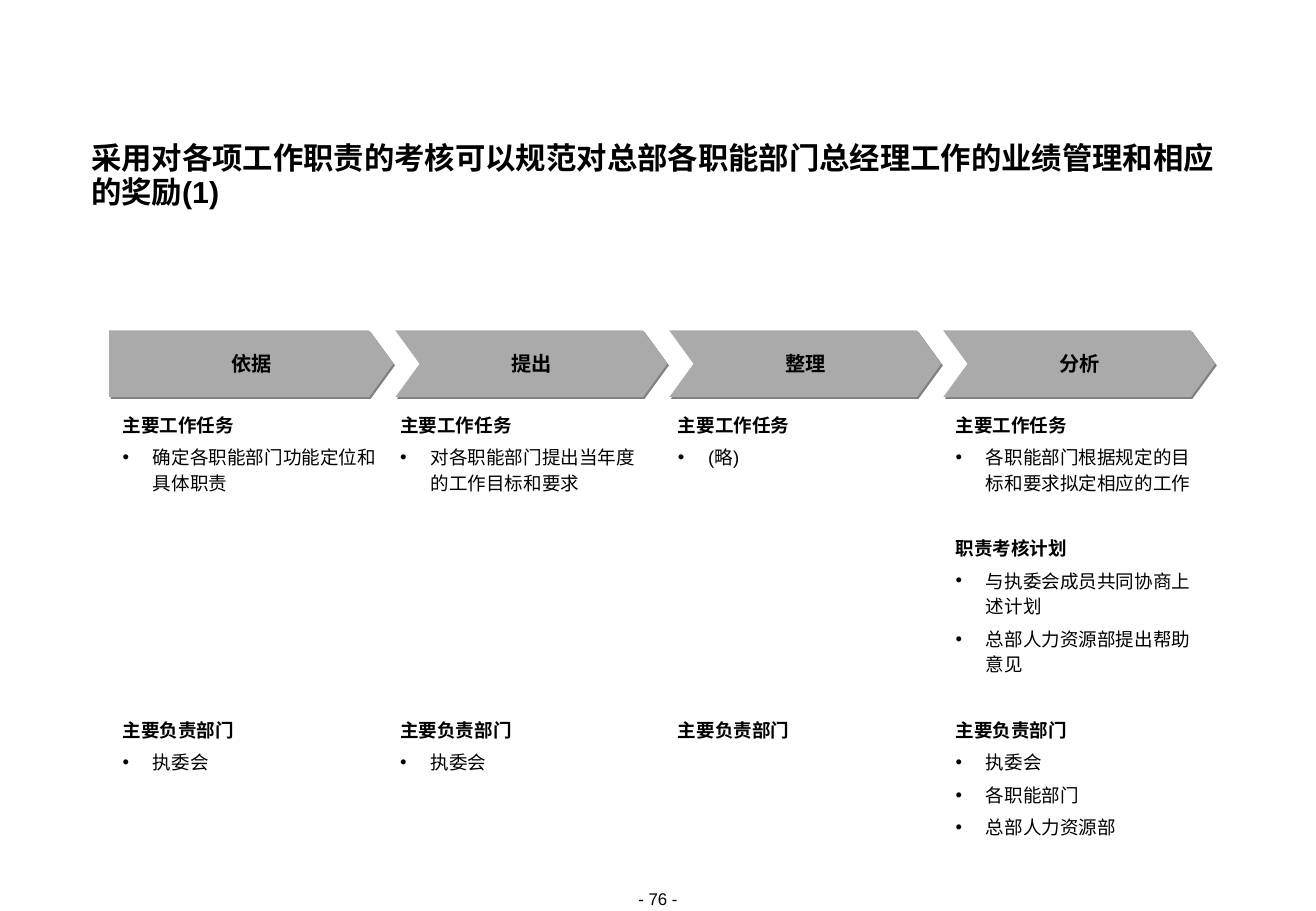
import pptx
import pptx.dml.color
import pptx.enum.text
import pptx.oxml.ns
import pptx.util
from lxml import etree
from pptx.util import Inches

FONT = "Arial"
TASKS = "主要工作任务"
OWNERS = "主要负责部门"
STAGES = [
    ("依据", [(TASKS, ["确定各职能部门功能定位和具体职责"])], ["执委会"]),
    ("提出", [(TASKS, ["对各职能部门提出当年度的工作目标和要求"])], ["执委会"]),
    ("整理", [(TASKS, ["(略)"])], []),
    ("分析", [(TASKS, ["各职能部门根据规定的目标和要求拟定相应的工作"]),
            ("职责考核计划", ["与执委会成员共同协商上述计划", "总部人力资源部提出帮助意见"])],
     ["执委会", "各职能部门", "总部人力资源部"]),
]


def colour(value):
    """Turn a hex string into a colour."""
    return pptx.dml.color.RGBColor.from_string(value)


def add_element(parent, tag, **attributes):
    """Append a drawing element to a parent."""
    return etree.SubElement(parent, pptx.oxml.ns.qn(tag), **attributes)


def style_para(para, size, bold=False):
    """Format every run of a paragraph."""
    for span in para.runs:
        span.font.name = FONT
        span.font.size = pptx.util.Pt(size)
        span.font.bold = bold
        span.font.color.rgb = colour("000000")


def prepare_frame(frame, anchor=pptx.enum.text.MSO_ANCHOR.TOP, wrap=True):
    """Clear the margins of a text frame and set its anchor and wrapping."""
    frame.margin_left = frame.margin_top = frame.margin_right = frame.margin_bottom = 0
    frame.auto_size = pptx.enum.text.MSO_AUTO_SIZE.NONE
    frame.vertical_anchor = anchor
    frame.word_wrap = wrap
    return frame


def add_text_box(page, left, top, width, height):
    """Add a text box without margins and return its frame."""
    box = page.shapes.add_textbox(Inches(left), Inches(top), Inches(width), Inches(height))
    return prepare_frame(box.text_frame)


def place_title(page, left, top, width, height):
    """Move and format the title placeholder."""
    title = page.shapes.title
    title.left, title.top = Inches(left), Inches(top)
    title.width, title.height = Inches(width), Inches(height)
    frame = prepare_frame(title.text_frame)
    frame.text = "采用对各项工作职责的考核可以规范对总部各职能部门总经理工作的业绩管理和相应的奖励(1)"
    para = frame.paragraphs[0]
    para.alignment = pptx.enum.text.PP_ALIGN.LEFT
    para.line_spacing = pptx.util.Pt(20)
    style_para(para, 18, bold=True)


def add_stage_arrow(page, left, top, width, height, label, notched):
    """Draw one process arrow with its label."""
    point = 0.2
    right, middle, bottom = left + width, top + height / 2, top + height
    outline = [(right - point, top), (right, middle), (right - point, bottom), (left, bottom)]
    if notched:
        outline.append((left + point, middle))
    builder = page.shapes.build_freeform(Inches(left), Inches(top))
    builder.add_line_segments([(Inches(x), Inches(y)) for x, y in outline])
    arrow = builder.convert_to_shape()
    arrow.fill.solid()
    arrow.fill.fore_color.rgb = colour("AAAAAA")
    arrow.line.fill.background()
    arrow.shadow.inherit = False
    effects = arrow._element.spPr.find(pptx.oxml.ns.qn("a:effectLst"))
    shadow = add_element(effects, "a:outerShdw", dist=str(pptx.util.Pt(1.4)),
                         dir="2700000", algn="ctr", rotWithShape="0")
    add_element(shadow, "a:srgbClr", val="808080")
    frame = prepare_frame(arrow.text_frame, pptx.enum.text.MSO_ANCHOR.MIDDLE, wrap=False)
    frame.text = label
    para = frame.paragraphs[0]
    para.alignment = pptx.enum.text.PP_ALIGN.CENTER
    para.line_spacing = pptx.util.Pt(14)
    style_para(para, 12, bold=True)


def add_bullet(para):
    """Give a paragraph a round bullet and a hanging indent."""
    properties = para._p.get_or_add_pPr()
    properties.set("marL", str(Inches(0.25)))
    properties.set("indent", str(-Inches(0.25)))
    add_element(add_element(properties, "a:buClr"), "a:srgbClr", val="000000")
    add_element(properties, "a:buFont", typeface=FONT)
    add_element(properties, "a:buChar", char="•")


def add_sections(page, left, top, width, height, sections):
    """Write headed bullet lists one below the other in one box."""
    frame = add_text_box(page, left, top, width, height)
    lines = [(text, index == 0) for heading, items in sections
             for index, text in enumerate([heading, *items])]
    for position, (text, is_heading) in enumerate(lines):
        para = frame.add_paragraph() if position else frame.paragraphs[0]
        para.text = text
        if not is_heading:
            add_bullet(para)
        para.line_spacing = 1.15
        if position:
            para.space_before = pptx.util.Pt(23.4 if is_heading else 4.1)
        style_para(para, 11, bold=is_heading)


def add_process(page, left, top, width):
    """Lay out the four arrows with the tasks and owners under each."""
    arrow_width, first_extra = 2.24, 0.1
    arrow_pitch = (width - arrow_width - first_extra) / (len(STAGES) - 1)
    column_pitch = 2.287
    for index, (label, tasks, owners) in enumerate(STAGES):
        extra = 0 if index else first_extra
        arrow_left = left + first_extra - extra + index * arrow_pitch
        add_stage_arrow(page, arrow_left, top, arrow_width + extra, 0.55, label, index > 0)
        column_left = left + 0.11 + index * column_pitch
        column_width = 2.08 if index else 2.15
        add_sections(page, column_left, top + 0.66, column_width, 2.18, tasks)
        add_sections(page, column_left, top + 3.17, column_width, 1.02, [(OWNERS, owners)])


def add_page_number(page, left, top, width, height):
    """Write the centred page number."""
    frame = add_text_box(page, left, top, width, height)
    frame.text = "- 76 -"
    frame.paragraphs[0].alignment = pptx.enum.text.PP_ALIGN.CENTER
    style_para(frame.paragraphs[0], 10)


def main():
    """Build the deck and save it."""
    deck = pptx.Presentation()
    deck.slide_width, deck.slide_height = Inches(10.84), Inches(7.5)
    page = deck.slides.add_slide(deck.slide_layouts[5])
    place_title(page, 0.75, 1.17, 9.33, 0.56)
    add_process(page, 0.9, 2.72, 9.11)
    add_page_number(page, 4.85, 7.32, 1.14, 0.17)
    deck.save("out.pptx")


if __name__ == "__main__":
    main()
